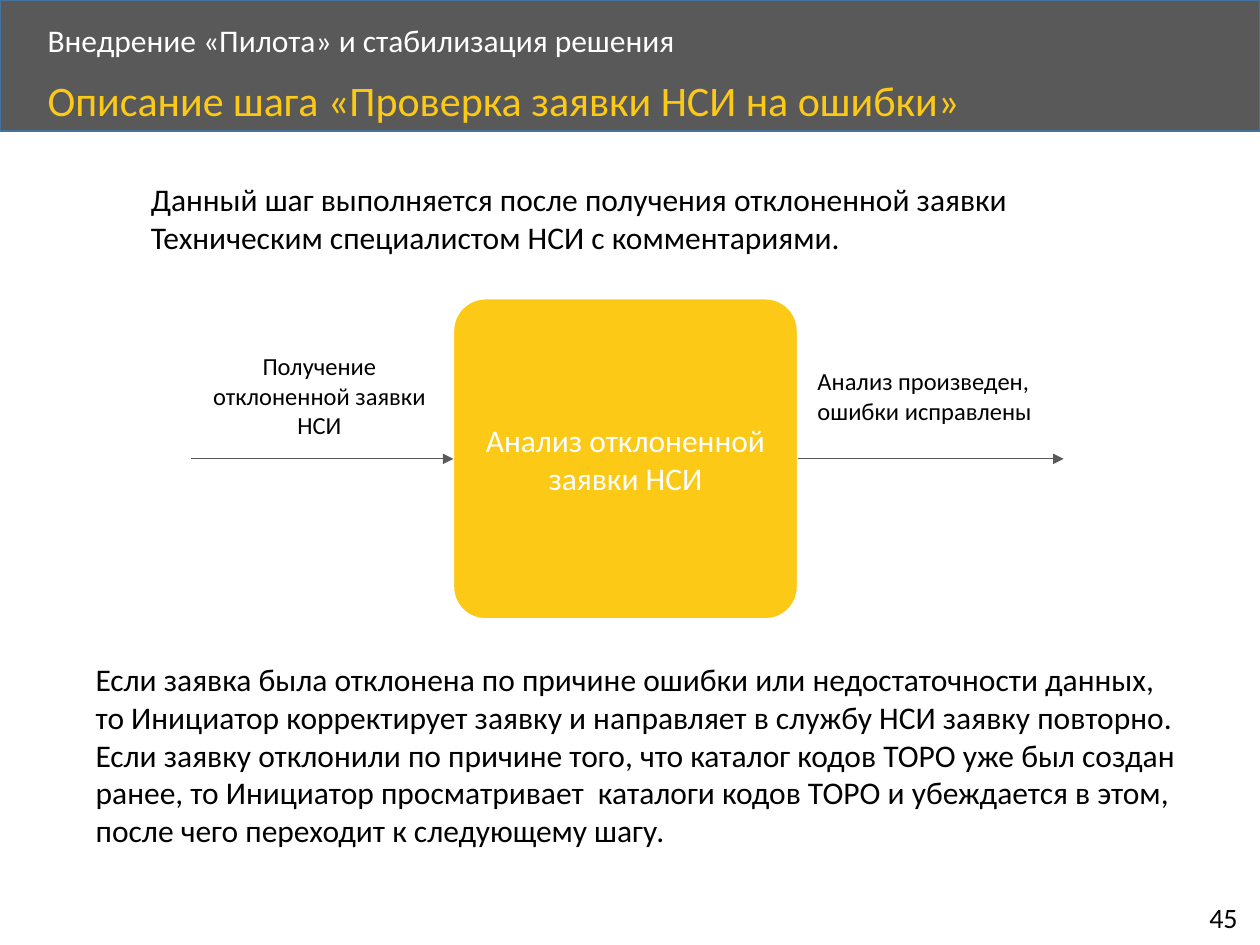
from dataclasses import dataclass

from lxml import etree
from pptx import Presentation
from pptx.dml.color import RGBColor
from pptx.enum.shapes import MSO_CONNECTOR, MSO_SHAPE
from pptx.enum.text import MSO_ANCHOR, PP_ALIGN
from pptx.oxml.ns import qn
from pptx.util import Cm, Pt

RECT = MSO_SHAPE.RECTANGLE
ROUND = MSO_SHAPE.ROUNDED_RECTANGLE
LINE = MSO_CONNECTOR.STRAIGHT
TOP, MID = MSO_ANCHOR.TOP, MSO_ANCHOR.MIDDLE
LEFT, MIDDLE = PP_ALIGN.LEFT, PP_ALIGN.CENTER


@dataclass(frozen=True)
class Theme:
    font: str = "Calibri"
    gray: RGBColor = RGBColor(0x59, 0x59, 0x59)
    blue: RGBColor = RGBColor(0x43, 0x73, 0x9E)
    gold: RGBColor = RGBColor(0xFC, 0xC9, 0x17)
    white: RGBColor = RGBColor(0xFF, 0xFF, 0xFF)
    black: RGBColor = RGBColor(0, 0, 0)
    title: int = 24
    body: int = 18
    page: int = 16
    label: int = 14


theme = Theme()
deck = Presentation()
deck.slide_width, deck.slide_height = Cm(25.4), Cm(19.05)
slide = deck.slides.add_slide(deck.slide_layouts[6])
shapes = slide.shapes


def write(shape, text, size, color, align=LEFT, anchor=TOP, space=1.0, wrap=True):
    frame = shape.text_frame
    frame.word_wrap = wrap
    frame.vertical_anchor = anchor
    para = frame.paragraphs[0]
    para.text = text
    para.alignment = align
    para.line_spacing = space
    font = para.font
    font.name, font.size = theme.font, Pt(size)
    font.color.rgb = color


def block(kind, box, fill, edge):
    shape = shapes.add_shape(kind, *map(Cm, box))
    shape.shadow.inherit = False
    shape.fill.solid()
    shape.fill.fore_color.rgb = fill
    shape.line.color.rgb = edge
    shape.line.width = Pt(1)
    return shape


# Header band
block(RECT, (0, 0, 25.4, 2.64), theme.gray, theme.blue)

# Step box
step = block(ROUND, (9.14, 6.02, 6.94, 6.46), theme.gold, theme.white)
step.adjustments[0] = 0.1
write(step, "Анализ отклоненной заявки НСИ", theme.body, theme.white, MIDDLE, MID)

# Arrows into and out of the step
mid = Cm(9.25)
entry = shapes.add_connector(LINE, Cm(3.86), mid, Cm(9.14), mid)
entry.end_connect(step, 1)
leave = shapes.add_connector(LINE, Cm(16.08), mid, Cm(21.44), mid)
leave.begin_connect(step, 3)
for arrow in (entry, leave):
    arrow.line.color.rgb = theme.gray
    arrow.line.width = Pt(0.5)
    etree.SubElement(arrow.line._get_or_add_ln(), qn("a:tailEnd"), type="triangle")
    etree.SubElement(arrow._element.spPr, qn("a:effectLst"))

# Texts: box, wording, size, colour, then any layout options
texts = [
    ((0.71, 0.36, 20.5, 0.97), "Внедрение «Пилота» и стабилизация решения",
     theme.body, theme.white, {"anchor": MID, "space": 0.9}),
    ((0.71, 1.5, 22.02, 1.14), "Описание шага «Проверка заявки НСИ на ошибки»",
     theme.title, theme.gold, {"space": 0.9}),
    ((2.79, 3.51, 20.24, 1.8),
     "Данный шаг выполняется после получения отклоненной заявки "
     "Техническим специалистом НСИ с комментариями.",
     theme.body, theme.black, {}),
    ((3.94, 6.96, 5, 2.06), "Получение отклоненной заявки НСИ",
     theme.label, theme.black, {"align": MIDDLE}),
    ((16.23, 7.26, 5.21, 1.45), "Анализ произведен, ошибки исправлены",
     theme.label, theme.black, {}),
    ((1.68, 13.18, 22.48, 4.11),
     "Если заявка была отклонена по причине ошибки или недостаточности данных, "
     "то Инициатор корректирует заявку и направляет в службу НСИ заявку повторно. "
     "Если заявку отклонили по причине того, что каталог кодов ТОРО уже был создан "
     "ранее, то Инициатор просматривает  каталоги кодов ТОРО и убеждается в этом, "
     "после чего переходит к следующему шагу.",
     theme.body, theme.black, {}),
    ((24.13, 18.03, 1.17, 0.94), "45", theme.page, theme.black, {"wrap": False}),
]
for box, text, size, color, opts in texts:
    write(shapes.add_textbox(*map(Cm, box)), text, size, color, **opts)

deck.save("out.pptx")
